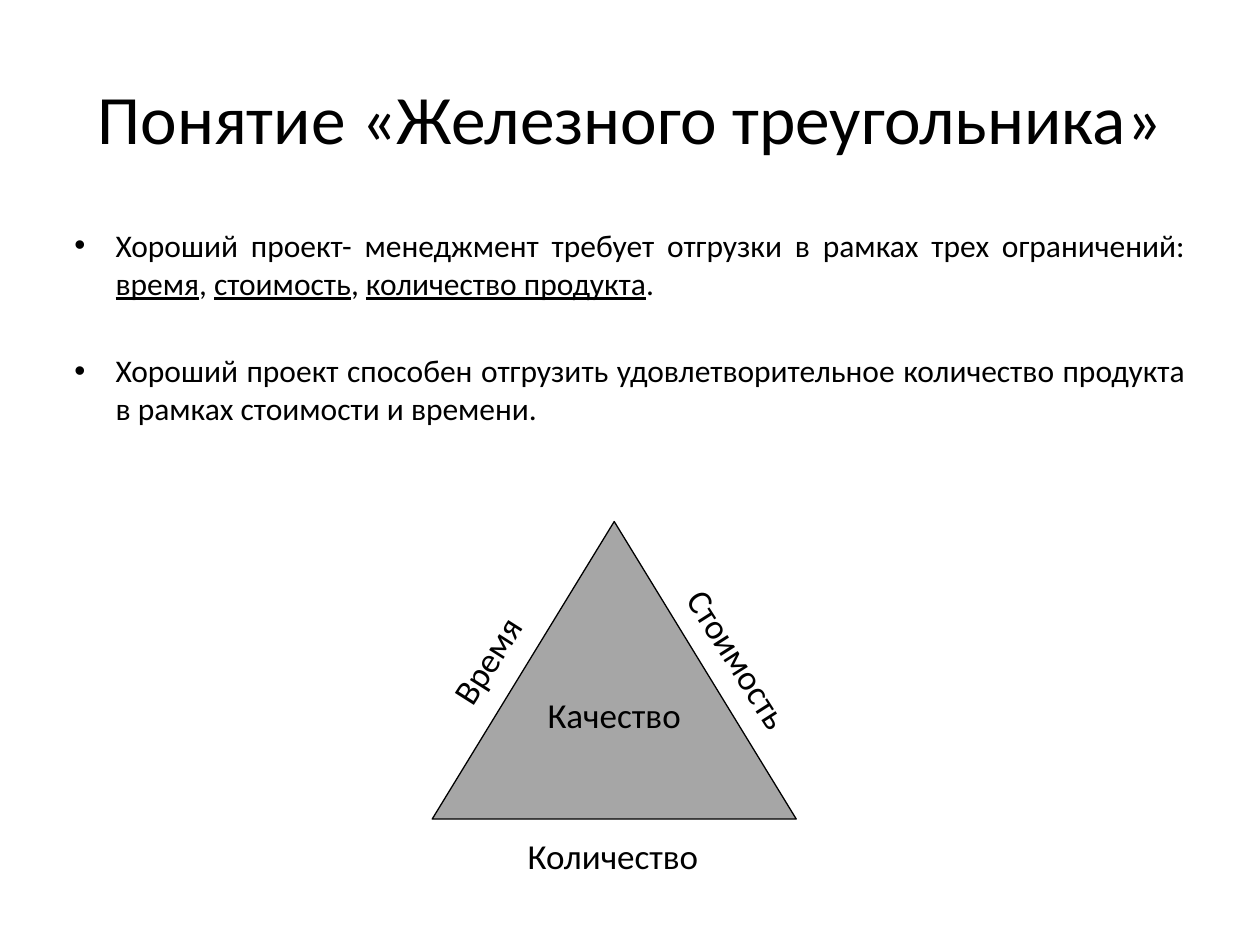
"""Build the slide about the iron triangle of project management."""
from dataclasses import dataclass

from lxml.etree import SubElement
from pptx import Presentation
from pptx.dml.color import RGBColor
from pptx.enum.shapes import MSO_SHAPE as Shape
from pptx.enum.text import MSO_ANCHOR as Anchor, MSO_AUTO_SIZE as AutoSize, PP_ALIGN as Align
from pptx.oxml.ns import qn
from pptx.util import Pt

COLORS = {"text": "000000", "background": "FFFFFF", "triangle": "A6A6A6"}
FONT = "Calibri"


@dataclass
class Figure:
    text: str
    left: float
    top: float
    width: float
    height: float
    rotation: float = 0
    kind: Shape = Shape.RECTANGLE
    fill: str = "background"
    line: str = "background"
    spacing: float = 1.0
    anchor: Anchor = Anchor.MIDDLE
    wrap: bool = False


@dataclass
class Bullet:
    runs: list[tuple[str, bool]]
    space_before: float = 0


FIGURES = [
    Figure("Качество", 247, 298, 208, 170, kind=Shape.ISOSCELES_TRIANGLE, fill="triangle",
           line="text", spacing=1.4, anchor=Anchor.TOP, wrap=True),
    Figure("Время", 243.4, 361.4, 69, 31.7, rotation=302.3),
    Figure("Количество", 293.8, 473, 113, 31.7),
    Figure("Стоимость", 370, 360.7, 104.4, 31.7, rotation=57.5),
]

BULLETS = [
    Bullet([("Хороший проект- менеджмент требует отгрузки в рамках трех ограничений: ", False),
            ("время", True), (", ", False), ("стоимость", True), (", ", False),
            ("количество продукта", True), (".", False)]),
    Bullet([("Хороший проект способен отгрузить удовлетворительное количество продукта "
             "в рамках стоимости и времени.", False)], space_before=28.5),
]


def color(name: str) -> RGBColor:
    return RGBColor.from_string(COLORS[name])


def add_text(paragraph, text: str, *, size: float, align: Align = Align.CENTER,
             underline: bool = False, spacing: float = 1.0) -> None:
    paragraph.alignment = align
    paragraph.line_spacing = spacing
    run = paragraph.add_run()
    run.text = text
    font = run.font
    font.name, font.size = FONT, Pt(size)
    font.color.rgb = color("text")
    if underline:
        font.underline = True


def place(shape, left: float, top: float, width: float, height: float) -> None:
    shape.left, shape.top, shape.width, shape.height = map(Pt, (left, top, width, height))


def add_title(slide, text: str) -> None:
    title = slide.shapes.title
    place(title, 36, 21.6, 648, 90)
    title.text_frame.vertical_anchor = Anchor.MIDDLE
    add_text(title.text_frame.paragraphs[0], text, size=39.6)


def add_bullets(slide, bullets: list[Bullet]) -> None:
    body = slide.shapes.add_textbox(Pt(36), Pt(126), Pt(648), Pt(121))
    frame = body.text_frame
    frame.word_wrap = True
    frame.margin_left = frame.margin_right = Pt(6.5)
    frame.margin_top, frame.margin_bottom = Pt(3), Pt(0)
    for index, bullet in enumerate(bullets):
        paragraph = frame.add_paragraph() if index else frame.paragraphs[0]
        paragraph.space_before = Pt(bullet.space_before)
        for text, underline in bullet.runs:
            add_text(paragraph, text, size=18, align=Align.JUSTIFY, underline=underline)
        properties = paragraph._p.get_or_add_pPr()
        properties.set("marL", str(Pt(23.6)))
        properties.set("indent", str(Pt(-23.6)))
        SubElement(properties, qn("a:buFont"), typeface="Arial")
        SubElement(properties, qn("a:buChar"), char="•")


def add_figure(slide, figure: Figure) -> None:
    shape = slide.shapes.add_shape(figure.kind, 0, 0, 0, 0)
    place(shape, figure.left, figure.top, figure.width, figure.height)
    shape.rotation = figure.rotation
    shape.shadow.inherit = False
    shape.fill.solid()
    shape.fill.fore_color.rgb = color(figure.fill)
    shape.line.color.rgb = color(figure.line)
    shape.line.width = Pt(0.75)
    frame = shape.text_frame
    frame.word_wrap = figure.wrap
    frame.auto_size = AutoSize.NONE if figure.wrap else AutoSize.SHAPE_TO_FIT_TEXT
    frame.vertical_anchor = figure.anchor
    add_text(frame.paragraphs[0], figure.text, size=20, spacing=figure.spacing)


def main() -> None:
    presentation = Presentation()
    presentation.slide_width, presentation.slide_height = Pt(720), Pt(540)
    slide = presentation.slides.add_slide(presentation.slide_layouts[5])
    slide.background.fill.solid()
    slide.background.fill.fore_color.rgb = color("background")
    add_title(slide, "Понятие «Железного треугольника»")
    add_bullets(slide, BULLETS)
    for figure in FIGURES:
        add_figure(slide, figure)
    presentation.save("out.pptx")


main()
